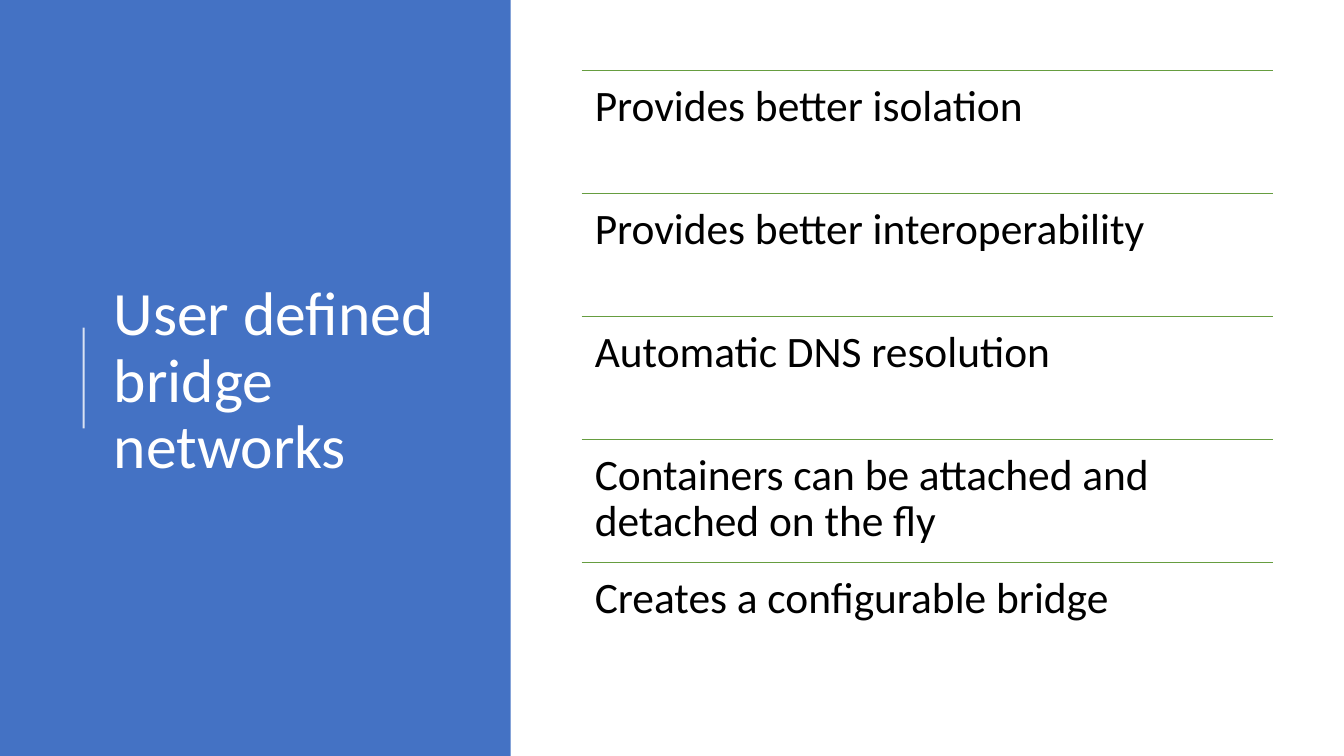
"""Build the slide about user defined bridge networks."""
from dataclasses import dataclass

from lxml import etree
from pptx import Presentation
from pptx.dml.color import RGBColor
from pptx.enum.shapes import MSO_CONNECTOR, MSO_SHAPE
from pptx.enum.text import MSO_ANCHOR
from pptx.oxml.ns import qn
from pptx.slide import Slide
from pptx.util import Inches, Pt

RECTANGLE = MSO_SHAPE.RECTANGLE
STRAIGHT = MSO_CONNECTOR.STRAIGHT
TOP, MIDDLE = MSO_ANCHOR.TOP, MSO_ANCHOR.MIDDLE

COLOURS = {
    "panel": "4472C4",
    "title": "FFFFFF",
    "accent": "FFFFFF",
    "rule": "669D40",
    "point": "000000",
}
FONT = "Calibri"
SLIDE_WIDTH, SLIDE_HEIGHT = 13.33, 7.5
PANEL_WIDTH = 0.38 * SLIDE_WIDTH
LIST_LEFT, LIST_TOP, LIST_WIDTH = 5.77, 0.7, 6.86
ROW_HEIGHT = 1.22
POINTS = (
    "Provides better isolation",
    "Provides better interoperability",
    "Automatic DNS resolution",
    "Containers can be attached and detached on the fly",
    "Creates a configurable bridge",
)


@dataclass(frozen=True)
class Box:
    """Place of a text box in inches."""

    left: float
    top: float
    width: float
    height: float


@dataclass(frozen=True)
class TextStyle:
    """Look of a text box."""

    colour: str
    size: float
    anchor: MSO_ANCHOR
    inset_x: float
    inset_y: float


@dataclass(frozen=True)
class Line:
    """Ends in inches and look of a straight line."""

    start: tuple[float, float]
    end: tuple[float, float]
    colour: str
    width: float
    opacity: int = 100


TITLE_STYLE = TextStyle("title", 44, MIDDLE, 0.1, 0.05)
POINT_STYLE = TextStyle("point", 31, TOP, 0.13, 0.13)


def colour_of(name: str) -> RGBColor:
    """Return the named colour."""
    return RGBColor.from_string(COLOURS[name])


def set_format(target: object, values: dict[str, object]) -> None:
    """Set every attribute listed in the format values."""
    for name, value in values.items():
        setattr(target, name, value)


def draw_panel(slide: Slide) -> None:
    """Draw the coloured panel behind the title."""
    panel = slide.shapes.add_shape(
        RECTANGLE, 0, 0, Inches(PANEL_WIDTH), Inches(SLIDE_HEIGHT)
    )
    panel.shadow.inherit = False
    panel.fill.solid()
    panel.fill.fore_color.rgb = colour_of("panel")
    panel.line.fill.background()


def draw_line(slide: Slide, line: Line) -> None:
    """Draw one straight line without a shadow."""
    ends = (Inches(value) for value in (*line.start, *line.end))
    connector = slide.shapes.add_connector(STRAIGHT, *ends)
    connector.line.width = Pt(line.width)
    connector.line.color.rgb = colour_of(line.colour)
    properties = connector.line._get_or_add_ln().getparent()
    etree.SubElement(properties, qn("a:effectLst"))
    if line.opacity < 100:
        colour = next(properties.iter(qn("a:srgbClr")))
        etree.SubElement(colour, qn("a:alpha"), val=str(line.opacity * 1000))


def draw_text(slide: Slide, text: str, box: Box, style: TextStyle) -> None:
    """Draw one wrapped paragraph in a text box."""
    sides = (Inches(side) for side in (box.left, box.top, box.width, box.height))
    frame = slide.shapes.add_textbox(*sides).text_frame
    set_format(frame, {
        "word_wrap": True,
        "vertical_anchor": style.anchor,
        "margin_left": Inches(style.inset_x),
        "margin_right": Inches(style.inset_x),
        "margin_top": Inches(style.inset_y),
        "margin_bottom": Inches(style.inset_y),
    })
    paragraph = frame.paragraphs[0]
    paragraph.line_spacing = 0.9
    run = paragraph.add_run()
    run.text = text
    set_format(run.font, {"name": FONT, "size": Pt(style.size)})
    run.font.color.rgb = colour_of(style.colour)


def draw_points(slide: Slide) -> None:
    """Draw the points in equal rows, each under a rule."""
    for row, point in enumerate(POINTS):
        top = LIST_TOP + row * ROW_HEIGHT
        right = LIST_LEFT + LIST_WIDTH
        draw_line(slide, Line((LIST_LEFT, top), (right, top), "rule", 0.5))
        draw_text(slide, point, Box(LIST_LEFT, top, LIST_WIDTH, ROW_HEIGHT), POINT_STYLE)


def main() -> None:
    """Build and save the presentation."""
    presentation = Presentation()
    set_format(presentation, {
        "slide_width": Inches(SLIDE_WIDTH),
        "slide_height": Inches(SLIDE_HEIGHT),
    })
    slide = presentation.slides.add_slide(presentation.slide_layouts[6])
    draw_panel(slide)
    draw_line(slide, Line((0.83, 4.25), (0.83, 3.25), "accent", 1.5, 80))
    title_box = Box(1.03, 0.78, 3.69, 6.02)
    draw_text(slide, "User defined bridge networks", title_box, TITLE_STYLE)
    draw_points(slide)
    presentation.save("out.pptx")


main()
